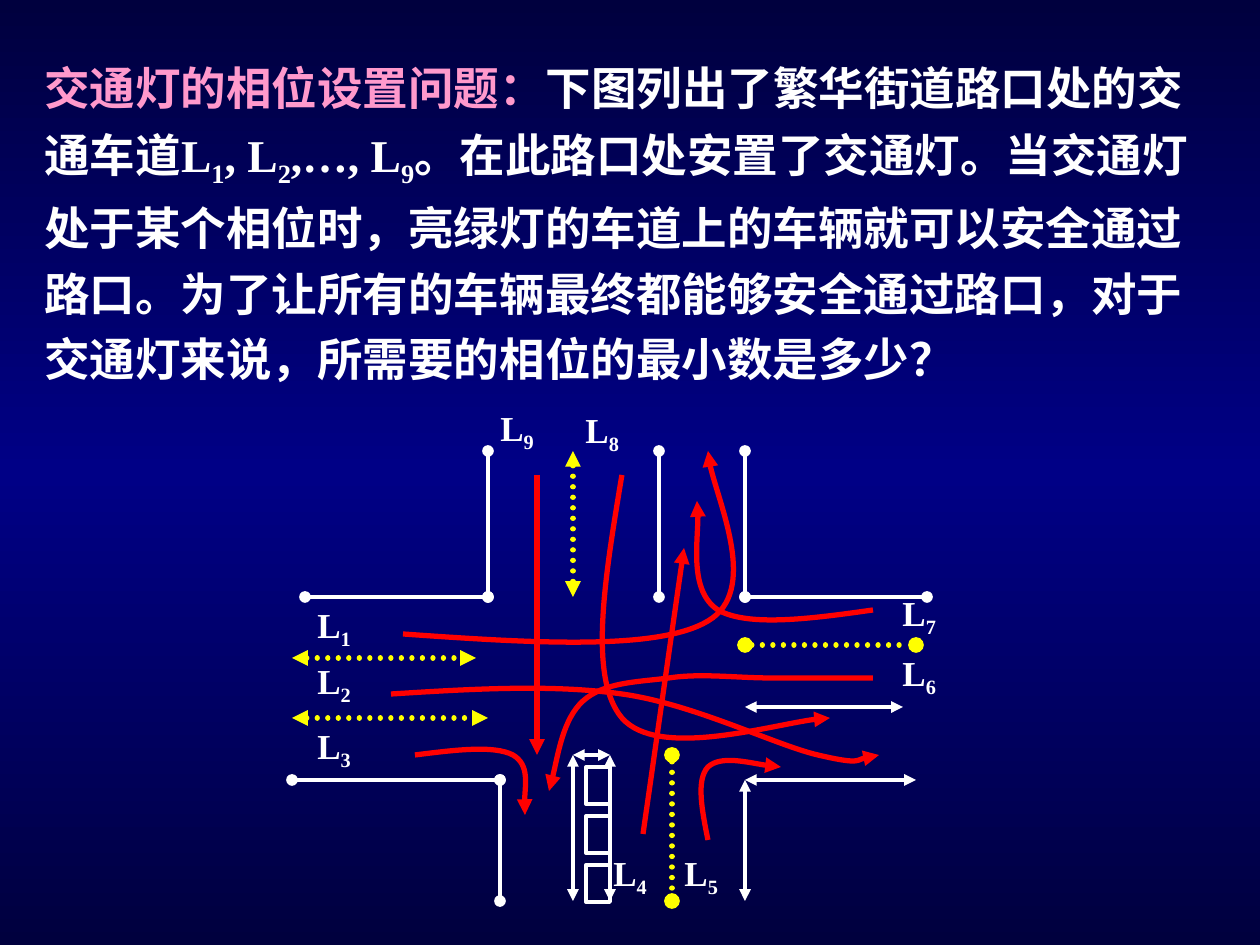
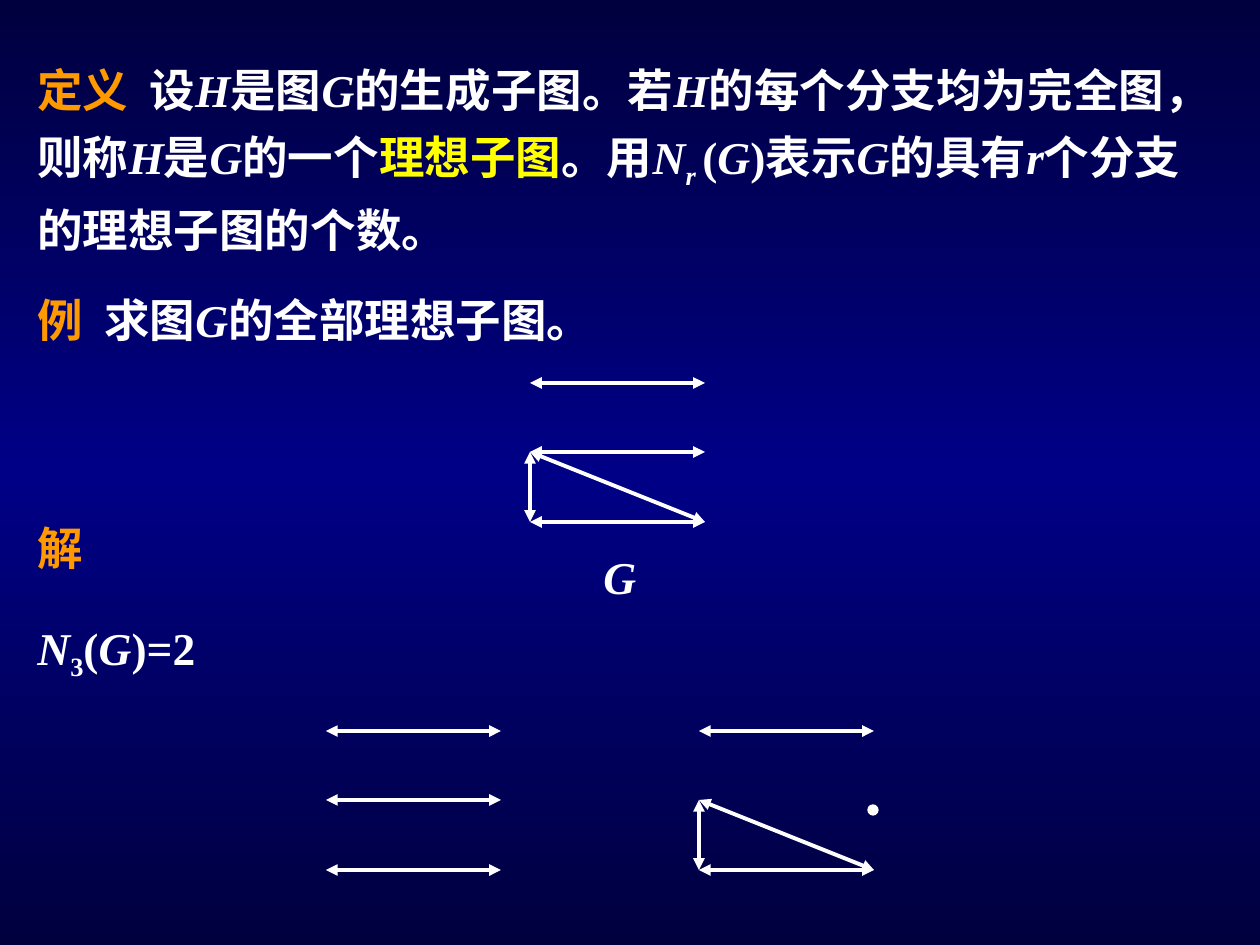
from copy import deepcopy
from dataclasses import dataclass

from lxml.etree import SubElement
from pptx import Presentation
from pptx.dml.color import RGBColor
from pptx.enum.dml import MSO_LINE
from pptx.enum.lang import MSO_LANGUAGE_ID
from pptx.enum.shapes import MSO_CONNECTOR, MSO_SHAPE
from pptx.oxml.ns import qn
from pptx.util import Pt

SCALE = 914400 / 126  # EMU in one px


@dataclass(frozen=True)
class Theme:
    edge: str = "00003E"
    middle: str = "000086"
    white: str = "FFFFFF"
    yellow: str = "FFFF00"
    red: str = "FF0000"
    pink: str = "FF99CC"
    orange: str = "FF9900"
    font: str = "Times New Roman"
    body: int = 26
    label: int = 20
    thin: float = 2.25
    thick: float = 3


T = Theme()


def px(n):
    return round(n * SCALE)


def rgb(color):
    return RGBColor.from_string(color)


# ---- Shared drawing helpers ----

def set_background(master):
    fill = master.background.fill
    fill.gradient()
    fill.gradient_angle = 90
    first = fill.gradient_stops[0]._gs
    first.getparent().append(deepcopy(first))
    colors = (T.edge, T.middle, T.edge)
    for stop, position, color in zip(fill.gradient_stops, (0, 0.5, 1), colors):
        stop.position = position
        stop.color.rgb = rgb(color)


def add_text(s, box, parts, size=T.body, spacing=1.2, tab=None):
    """Each part is (text, marks, colour); marks: i = italic, s = subscript."""
    tf = s.shapes.add_textbox(*map(px, box)).text_frame
    tf.word_wrap = True
    p = tf.paragraphs[0]
    p.line_spacing = spacing
    if tab:
        stops = SubElement(p._p.get_or_add_pPr(), qn("a:tabLst"))
        SubElement(stops, qn("a:tab"), pos=str(px(tab)), algn="l")
    for text, marks, color in parts:
        r = p.add_run()
        r.text = text
        font = r.font
        font.name, font.size, font.bold = T.font, Pt(size), True
        font.italic = "i" in marks
        font.language_id = MSO_LANGUAGE_ID.SIMPLIFIED_CHINESE
        font.color.rgb = rgb(color)
        if "s" in marks:
            font._element.set("baseline", "-25000")


def white_parts(*parts):
    return [(text, marks, T.white) for text, marks in parts]


def style_line(line, color, width, head=None, tail=None, dotted=False):
    line.color.rgb = rgb(color)
    line.width = Pt(width)
    if dotted:
        line.dash_style = MSO_LINE.ROUND_DOT
    ln = line._get_or_add_ln()
    if dotted:
        ln.set("cap", "rnd")
    for end, kind in (("a:headEnd", head), ("a:tailEnd", tail)):
        if kind:
            SubElement(ln, qn(end), type=kind)


def add_line(s, origin, ends, color=T.white, width=T.thin,
             head="triangle", tail="triangle", dotted=False):
    left, top = origin
    x1, y1, x2, y2 = ends
    c = s.shapes.add_connector(MSO_CONNECTOR.STRAIGHT, px(left + x1), px(top + y1),
                               px(left + x2), px(top + y2))
    style_line(c.line, color, width, head, tail, dotted)
    SubElement(c._element.spPr, qn("a:effectLst"))


def add_curve(s, origin, points):
    """Red arrow through a start point and triples of Bézier points."""
    builder = s.shapes.build_freeform(*points[0], scale=SCALE)
    builder.add_line_segments(points[1:], close=False)
    sp = builder.convert_to_shape(*map(px, origin))
    segments = iter(list(sp._element.iter(qn("a:lnTo"))))
    for first, second, third in zip(segments, segments, segments):
        first.tag = qn("a:cubicBezTo")
        for extra in (second, third):
            first.append(extra[0])
            extra.getparent().remove(extra)
    sp.fill.background()
    sp.shadow.inherit = False
    style_line(sp.line, T.red, T.thick, tail="triangle")


def add_solid(s, kind, box, width, filled):
    sp = s.shapes.add_shape(kind, *map(px, box))
    sp.shadow.inherit = False
    if filled:
        sp.fill.solid()
        sp.fill.fore_color.rgb = rgb(T.white)
    else:
        sp.fill.background()
    style_line(sp.line, T.white, width)


# ---- Slide 1: crossroads ----

CURBS = [(196, 51, 196, 197), (13, 197, 196, 197), (0, 380, 208, 380),
         (208, 380, 208, 501), (367, 51, 367, 197), (453, 51, 453, 197),
         (453, 197, 635, 197)]
BORDERS = [(453, 307, 611, 307), (453, 380, 624, 380), (453, 380, 453, 501),
           (281, 355, 281, 501), (281, 355, 318, 355), (318, 355, 318, 501)]
ARROW_DIVIDERS = [(0, 258, 184, 258), (0, 318, 196, 318), (281, 51, 281, 197)]
DOT_DIVIDERS = [(453, 245, 624, 245), (380, 355, 380, 501)]

LANE_LABELS = {1: (13, 197), 2: (13, 253), 3: (13, 318), 4: (309, 445), 5: (380, 445),
               6: (598, 245), 7: (598, 185), 8: (281, 2), 9: (196, 0)}
LANE_CURVES = [
    # L1 to L3
    [(111, 234), (238, 243), (366, 251), (416, 221), (467, 191), (416, 79), (416, 51)],
    [(99, 294), (179, 289), (260, 284), (330, 294), (402, 304), (483, 345), (526, 355),
     (569, 365), (576, 355), (587, 355)],
    [(123, 355), (163, 350), (202, 345), (221, 355), (238, 365), (231, 405), (233, 415)],
    # L4 to L6
    [(351, 434), (368, 316), (385, 196), (392, 148)],
    [(416, 440), (410, 410), (404, 380), (416, 367), (429, 355), (477, 367), (489, 367)],
    [(581, 278), (547, 278), (513, 278), (479, 278), (445, 278), (409, 273), (377, 278),
     (346, 282), (312, 282), (291, 301), (271, 319), (262, 376), (257, 391)],
    # L7 and L8
    [(581, 210), (518, 219), (456, 227), (426, 210), (397, 191), (409, 119), (405, 101)],
    [(330, 75), (313, 177), (296, 278), (330, 318), (366, 359), (503, 318), (538, 318)],
]


def draw_crossroads(s, origin):
    left, top = origin
    # Roads and lane dividers
    for ends in CURBS:
        add_line(s, origin, ends, head="oval", tail="oval")
    for ends in BORDERS:
        add_line(s, origin, ends)
    for kind, dividers in (("triangle", ARROW_DIVIDERS), ("oval", DOT_DIVIDERS)):
        for ends in dividers:
            add_line(s, origin, ends, T.yellow, T.thick, kind, kind, dotted=True)
    # Waiting cars
    for i in range(3):
        add_solid(s, MSO_SHAPE.RECTANGLE, (left + 294, top + 367 + 49 * i, 24, 37),
                  T.thin, filled=False)
    # Lane labels
    for lane, (x, y) in LANE_LABELS.items():
        add_text(s, (left + x, top + y, 88, 60), white_parts(("L", ""), (str(lane), "s")),
                 T.label, spacing=1)
    # Traffic flows
    add_line(s, origin, (245, 75, 245, 355), T.red, T.thick, head=None)
    for points in LANE_CURVES:
        add_curve(s, origin, points)


def build_traffic_slide(s):
    add_text(s, (32, 43, 1194, 349), [("交通灯的相位设置问题：", "", T.pink)] + white_parts(
        ("下图列出了繁华街道路口处的交通车道L", ""), ("1", "s"), (", L", ""), ("2", "s"),
        (",…, L", ""), ("9", "s"),
        ("。在此路口处安置了交通灯。当交通灯处于某个相位时，亮绿灯的车道上的车辆就可以"
         "安全通过路口。为了让所有的车辆最终都能够安全通过路口，对于交通灯来说，"
         "所需要的相位的最小数是多少？", "")))
    draw_crossroads(s, (292, 400))


# ---- Slide 2: ideal subgraphs ----

COLUMNS, ROWS = (0, 175), (0, 69, 139)
# Edges as (column, row, column, row)
TOP, MIDDLE, BOTTOM = [(0, row, 1, row) for row in range(3)]
SIDE, DIAGONAL = (0, 1, 0, 2), (0, 1, 1, 2)


def draw_graph(s, origin, edges):
    for c1, r1, c2, r2 in edges:
        add_line(s, origin, (COLUMNS[c1], ROWS[r1], COLUMNS[c2], ROWS[r2]))


def build_subgraph_slide(s):
    # Definition and example
    add_text(s, (25, 45, 1191, 218), [
        ("定义", "", T.orange),
        *white_parts(("\t设", ""), ("H", "i"), ("是图", ""), ("G", "i"),
                     ("的生成子图。若", ""), ("H", "i"),
                     ("的每个分支均为完全图，则称", ""), ("H", "i"), ("是", ""),
                     ("G", "i"), ("的一个", "")),
        ("理想子图", "", T.yellow),
        *white_parts(("。用", ""), ("N", "i"), ("r ", "is"), ("(", ""), ("G", "i"),
                     (")表示", ""), ("G", "i"), ("的具有", ""), ("r", "i"),
                     ("个分支的理想子图的个数。", "")),
    ], tab=112)
    add_text(s, (25, 275, 893, 78), [("例", "", T.orange)] + white_parts(
        ("\t求图", ""), ("G", "i"), ("的全部理想子图。", "")), tab=67)
    # Graph G
    draw_graph(s, (530, 383), (TOP, MIDDLE, SIDE, BOTTOM, DIAGONAL))
    add_text(s, (591, 532, 69, 78), white_parts(("G", "i")))
    # Solution
    add_text(s, (25, 503, 129, 78), [("解", "", T.orange)])
    add_text(s, (25, 601, 218, 87), white_parts(
        ("N", "i"), ("3", "s"), ("(", ""), ("G", "i"), (")=2", "")))
    draw_graph(s, (326, 731), (TOP, MIDDLE, BOTTOM))
    draw_graph(s, (699, 731), (TOP, SIDE, BOTTOM, DIAGONAL))
    add_solid(s, MSO_SHAPE.OVAL, (868, 805, 10, 10), 0.75, filled=True)


def main():
    prs = Presentation()
    prs.slide_width, prs.slide_height = px(1260), px(945)
    set_background(prs.slide_master)
    for build in (build_traffic_slide, build_subgraph_slide):
        build(prs.slides.add_slide(prs.slide_layouts[6]))
    prs.save("out.pptx")


if __name__ == "__main__":
    main()
